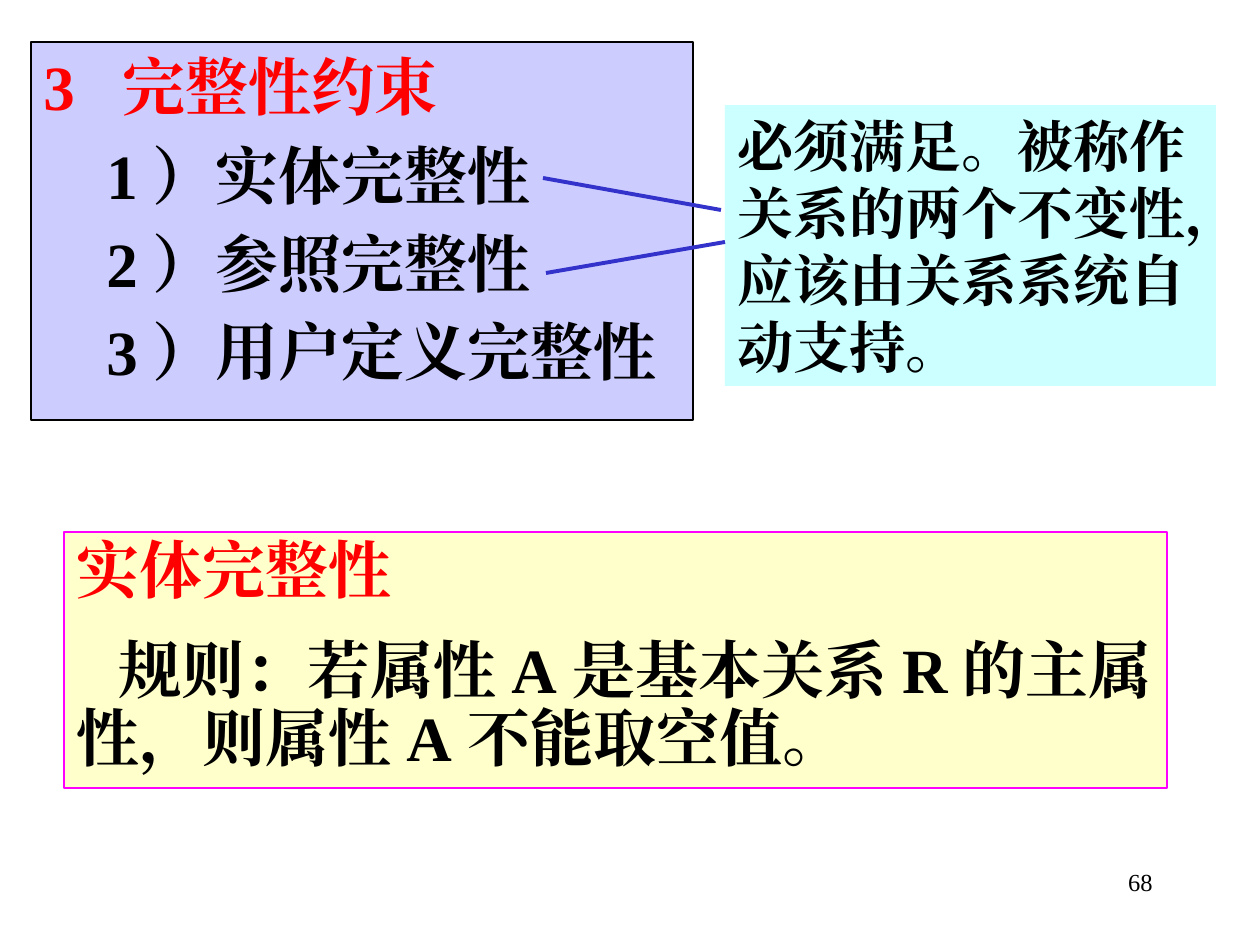
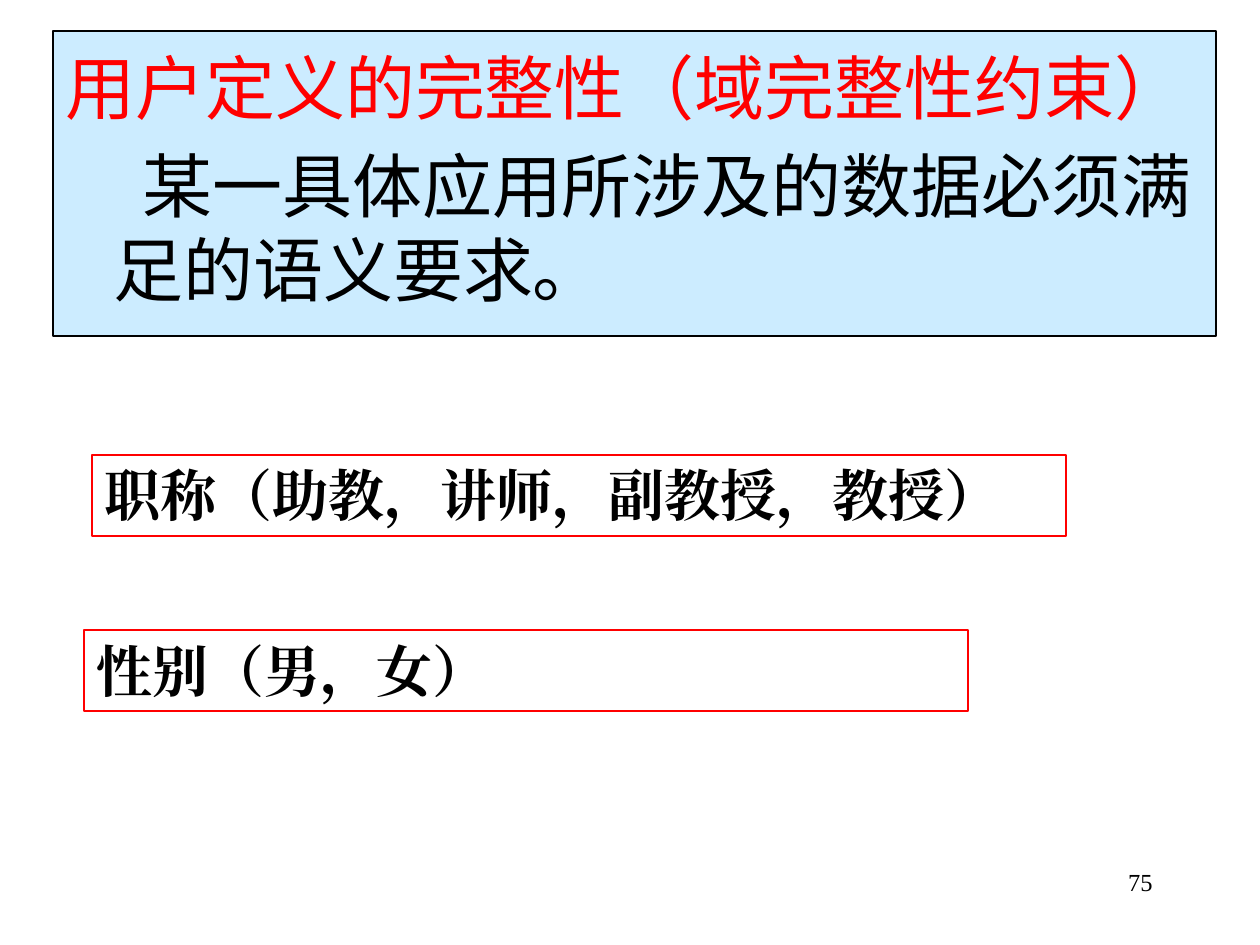
"""Build two slides on integrity constraints in the relational model."""
from lxml import etree
from pptx import Presentation, util as u
from pptx.dml.color import RGBColor
from pptx.enum import shapes, text
from pptx.oxml.ns import qn

COLORS = {
    "black": "000000", "red": "FF0000", "magenta": "FF00FF", "blue": "3333CC",
    "lavender": "CCCCFF", "aqua": "CCFFFF", "cream": "FFFFCC", "sky": "CCECFF",
}
SERIF, SANS_SC, SANS_JP = "Times New Roman", "Noto Sans CJK SC", "Noto Sans CJK JP"
LINE_HEIGHT = 1.2


def px(length):
    return u.Emu(round(length * 914400 / 126))


def add_panel(page, place, fill, border, size, bold, lines, gap=0, pitch=LINE_HEIGHT, top=6):
    box = page.shapes.add_shape(shapes.MSO_SHAPE.RECTANGLE, *map(px, place))
    box.shadow.inherit = False
    if fill:
        box.fill.solid()
        box.fill.fore_color.rgb = RGBColor.from_string(COLORS[fill])
    else:
        box.fill.background()
    if border:
        box.line.color.rgb = RGBColor.from_string(COLORS[border])
        box.line.width = u.Pt(0.75)
    else:
        box.line.fill.background()
    frame = box.text_frame
    frame.word_wrap = True
    frame.vertical_anchor = text.MSO_ANCHOR.TOP
    frame.margin_top = px(top)
    for index, (words, color, font, margin, indent) in enumerate(lines):
        para = frame.add_paragraph() if index else frame.paragraphs[0]
        para.alignment = text.PP_ALIGN.LEFT
        para.line_spacing = u.Pt(round(size * pitch, 1))
        if index:
            para.space_before = u.Pt(size * gap)
        properties = para._p.get_or_add_pPr()
        properties.set("marL", str(px(margin)))
        properties.set("indent", str(px(indent)))
        span = para.add_run()
        span.text = words
        span.font.name = font
        span.font.size = u.Pt(size)
        span.font.bold = bold
        span.font.color.rgb = RGBColor.from_string(COLORS[color])
        east_asian = etree.SubElement(span._r.get_or_add_rPr(), qn("a:ea"))
        east_asian.set("typeface", font)


deck = Presentation()
deck.slide_width, deck.slide_height = px(1260), px(945)
pages = []
for number in ("68", "75"):
    page = deck.slides.add_slide(deck.slide_layouts[6])
    box = page.shapes.add_textbox(px(903), px(861), px(262), px(63))
    box.text_frame.word_wrap = True
    para = box.text_frame.paragraphs[0]
    para.alignment = text.PP_ALIGN.RIGHT
    span = para.add_run()
    span.text = number
    span.font.name = SERIF
    span.font.size = u.Pt(14)
    span.font.color.rgb = RGBColor.from_string(COLORS["black"])
    pages.append(page)
constraints, user_defined = pages

kinds = ["1）实体完整性", "2）参照完整性", "3）用户定义完整性"]
add_panel(
    constraints, (31, 42, 662, 378), "lavender", "black", 36, True,
    [("3\t完整性约束", "red", SERIF, 79, -79)]
    + [(kind, "black", SERIF, 63, 0) for kind in kinds],
    gap=0.2,
)
add_panel(
    constraints, (725, 105, 491, 281), "aqua", None, 32, True,
    [("必须满足。被称作关系的两个不变性，应该由关系系统自动支持。", "black", SERIF, 0, 0)],
)
for ends in ((543, 178, 721, 210), (546, 273, 725, 242)):
    link = constraints.shapes.add_connector(shapes.MSO_CONNECTOR.STRAIGHT, *map(px, ends))
    link.line.color.rgb = RGBColor.from_string(COLORS["blue"])
    link.line.width = u.Pt(2.25)
    etree.SubElement(link._element.spPr, qn("a:effectLst"))
add_panel(
    constraints, (64, 532, 1103, 256), "cream", "magenta", 36, True,
    [
        ("实体完整性", "red", SERIF, 0, 0),
        ("规则：若属性A是基本关系R的主属性，则属性A不能取空值。", "black", SERIF, 0, 42),
    ],
    gap=0.5, pitch=0.9 * LINE_HEIGHT,
)

add_panel(
    user_defined, (53, 31, 1163, 305), "sky", "black", 40, False,
    [
        ("用户定义的完整性（域完整性约束）", "red", SANS_SC, 48, -48),
        ("某一具体应用所涉及的数据必须满足的语义要求。", "black", SANS_JP, 48, 29),
    ],
    gap=0.2, top=14,
)
examples = [
    ("职称（助教，讲师，副教授，教授）", (92, 455, 974, 81)),
    ("性别（男，女）", (84, 630, 884, 81)),
]
for words, place in examples:
    add_panel(user_defined, place, None, "red", 32, True, [(words, "black", SERIF, 0, 0)])

deck.save("out.pptx")
